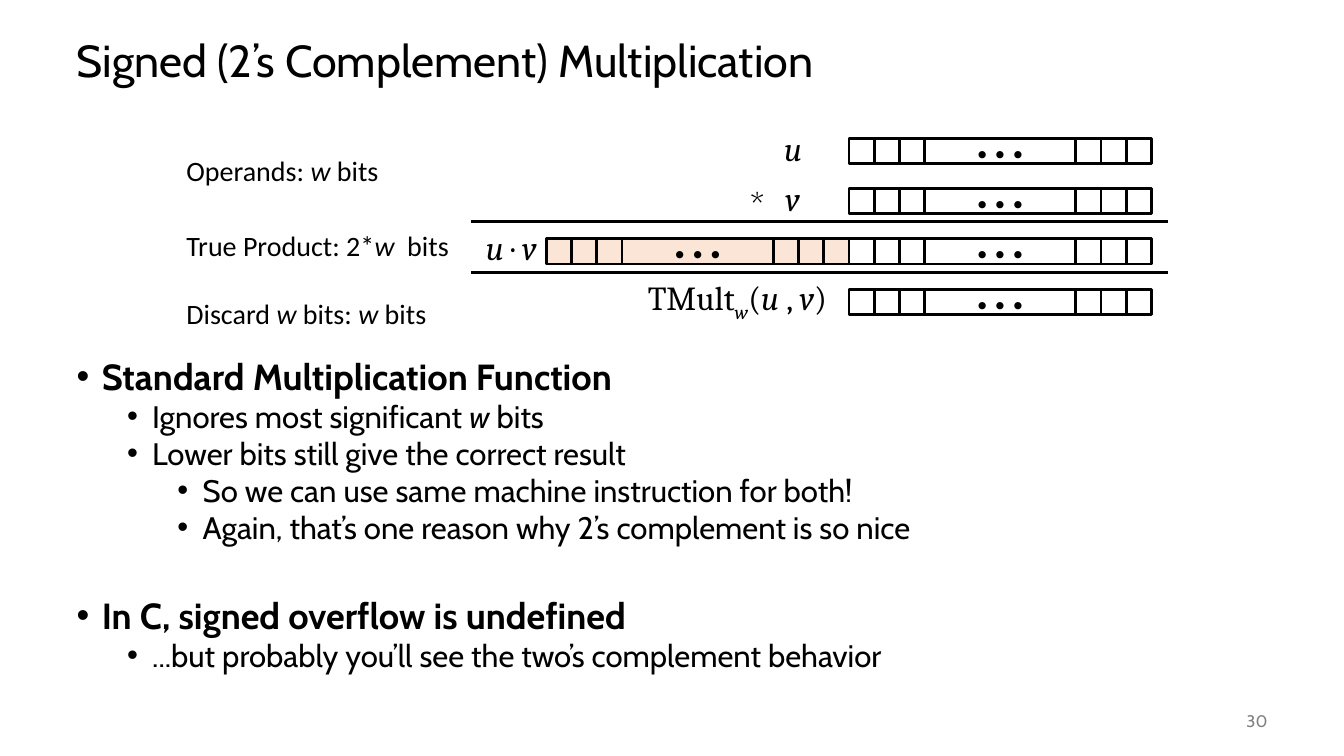
from pptx import Presentation
from pptx import util as u
from pptx.dml.color import RGBColor
from pptx.enum import shapes, text
from pptx.oxml.ns import qn
from lxml import etree

PX = 9144  # EMU in one px, 100 px to the inch
COLORS = {"ink": "000000", "paper": "FFFFFF", "discarded": "FBE5D6", "number": "808080"}
CELL = 25
CELL_WIDTHS = [CELL] * 3 + [150] + [CELL] * 3
LOW_HALF, HIGH_HALF = 842, 542
ROW_TOPS = [137, 187, 237, 287]
LEFT, CENTER, RIGHT = text.PP_ALIGN.LEFT, text.PP_ALIGN.CENTER, text.PP_ALIGN.RIGHT

POINTS = [
    (0, "Standard Multiplication Function", 0),
    (1, "Ignores most significant _w_ bits", 5),
    (1, "Lower bits still give the correct result", 5),
    (2, "So we can use same machine instruction for both!", 5),
    (2, "Again, that’s one reason why 2’s complement is so nice", 5),
    (0, "In C, signed overflow is undefined", 40.6),
    (1, "...but probably you’ll see the two’s complement behavior", 5),
]
STEPS = [
    ("Operands: _w_ bits", 147, 213),
    ("True Product: 2*_w_  bits", 222, 283),
    ("Discard _w_ bits: _w_ bits", 289, 267),
]
# words, left, top, width, alignment
FORMULAS = [
    ("_u_", 768, 122, 37, LEFT),
    ("_v_", 769, 172, 35, LEFT),
    ("_u _· _v_", 462, 220, 80, RIGHT),
    ("TMult_~w_(_u_ , _v_)", 629, 270, 201, RIGHT),
]


def px(*lengths):
    return [u.Emu(length * PX) for length in lengths]


def rgb(name):
    return RGBColor.from_string(COLORS[name])


def write(paragraph, words, size=24, font="Cabin", color="ink", bold=False,
          align=LEFT, spacing=None, before=0):
    """Fill a paragraph; _x_ is italic and _~x_ an italic subscript."""
    paragraph.alignment = align
    paragraph.space_before = u.Pt(before)
    if spacing:
        paragraph.line_spacing = spacing
    for index, part in enumerate(words.split("_")):
        if not part:
            continue
        run = paragraph.add_run()
        run.text = part.lstrip("~")
        run.font.name = font
        run.font.size = u.Pt(size)
        run.font.bold = bold
        run.font.italic = index % 2 == 1
        run.font.color.rgb = rgb(color)
        if part.startswith("~"):
            run.font._element.set("baseline", "-25000")


def add_label(slide, words, box, wrap=False, anchor=text.MSO_ANCHOR.TOP, **style):
    frame = slide.shapes.add_textbox(*px(*box)).text_frame
    frame.word_wrap = wrap
    frame.vertical_anchor = anchor
    if not wrap:
        frame.auto_size = text.MSO_AUTO_SIZE.SHAPE_TO_FIT_TEXT
    write(frame.paragraphs[0], words, **style)


def add_bits(slide, left, top, fill="paper"):
    """Draw one w-bit word: three bits, an ellipsis, three bits."""
    word = slide.shapes.add_group_shape()
    for width in CELL_WIDTHS:
        cell = word.shapes.add_shape(shapes.MSO_SHAPE.RECTANGLE, *px(left, top, width, CELL))
        cell.shadow.inherit = False
        cell.fill.solid()
        cell.fill.fore_color.rgb = rgb(fill)
        cell.line.color.rgb = rgb("ink")
        cell.line.width = u.Pt(2)
        if width > CELL:
            frame = cell.text_frame
            frame.word_wrap = False
            frame.vertical_anchor = text.MSO_ANCHOR.MIDDLE
            write(frame.paragraphs[0], "• • •", align=CENTER)
        left += width


def add_rule(slide, y):
    rule = slide.shapes.add_connector(shapes.MSO_CONNECTOR.STRAIGHT, *px(467, y, 1158, y))
    rule.line.color.rgb = rgb("ink")
    rule.line.width = u.Pt(2)
    etree.SubElement(rule._element.spPr, qn("a:effectLst"))


def place(holder, box):
    holder.left, holder.top, holder.width, holder.height = px(*box)
    holder.text_frame.auto_size = text.MSO_AUTO_SIZE.NONE
    return holder.text_frame


def add_bullet(paragraph, level):
    paragraph.level = level
    properties = paragraph._p.get_or_add_pPr()
    properties.set("marL", str((25 + 50 * level) * PX))
    properties.set("indent", str(-25 * PX))
    etree.SubElement(properties, qn("a:buFont"), typeface="Arial")
    etree.SubElement(properties, qn("a:buChar"), char="•")


def fill_points(frame):
    for index, (level, words, before) in enumerate(POINTS):
        paragraph = frame.add_paragraph() if index else frame.paragraphs[0]
        add_bullet(paragraph, level)
        write(paragraph, words, size=22.2 if level else 25.9, bold=level == 0,
              spacing=0.8, before=before)


def main():
    deck = Presentation()
    deck.slide_width, deck.slide_height = px(1333, 750)
    slide = deck.slides.add_slide(deck.slide_layouts[1])

    title = place(slide.shapes.title, (66, 25, 1200, 75))
    title.vertical_anchor = text.MSO_ANCHOR.MIDDLE
    write(title.paragraphs[0], "Signed (2’s Complement) Multiplication", size=32, spacing=0.9)
    fill_points(place(slide.placeholders[1], (66, 355, 1200, 320)))

    for top in ROW_TOPS:
        add_bits(slide, LOW_HALF, top)
    add_bits(slide, HIGH_HALF, ROW_TOPS[2], fill="discarded")
    for y in (220, 270):
        add_rule(slide, y)

    for words, top, width in STEPS:
        add_label(slide, words, (175, top, width, 44), size=20, font="Calibri")
    for words, left, top, width, align in FORMULAS:
        add_label(slide, words, (left, top, width, 50), font="Cambria", align=align)
    add_label(slide, "*", (734, 178, 39, 50))
    add_label(slide, "30", (1167, 695, 100, 40), wrap=True, anchor=text.MSO_ANCHOR.MIDDLE,
              size=12, color="number", align=RIGHT)
    deck.save("out.pptx")


if __name__ == "__main__":
    main()
